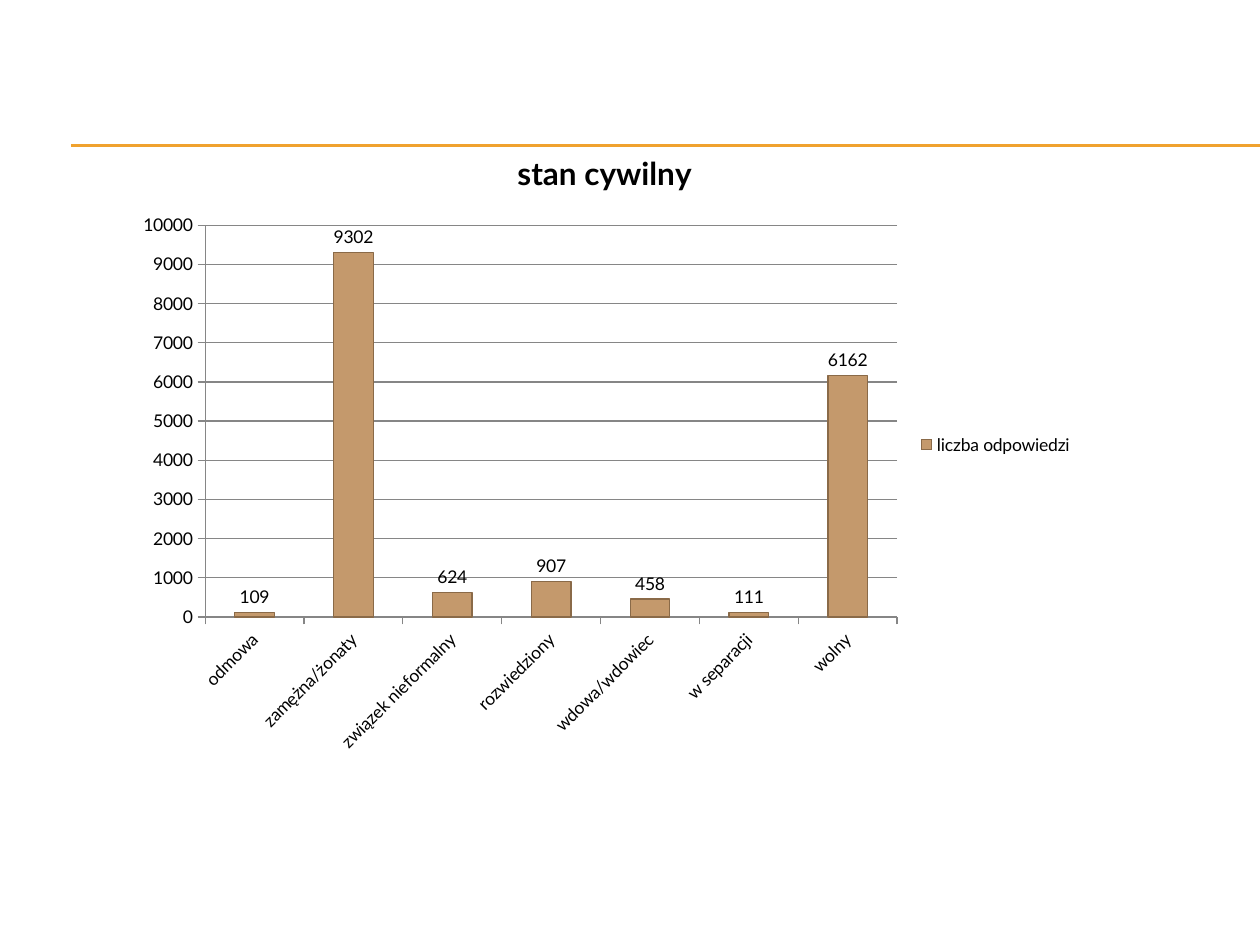
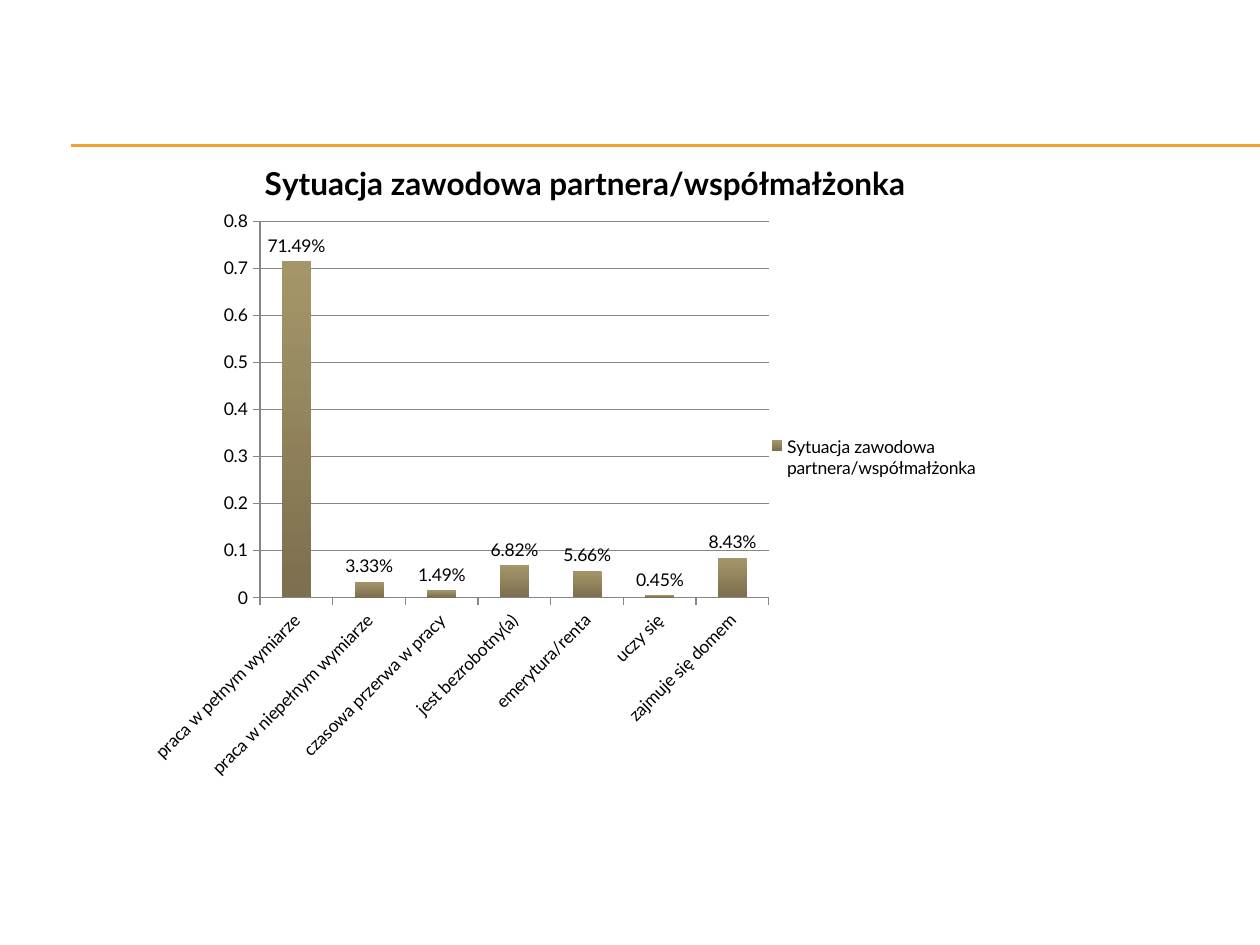
from lxml import etree
from pptx import Presentation
from pptx.chart.data import CategoryChartData
from pptx.dml.color import RGBColor
from pptx.enum.chart import XL_CHART_TYPE, XL_LABEL_POSITION, XL_LEGEND_POSITION, XL_TICK_MARK
from pptx.enum.shapes import MSO_CONNECTOR
from pptx.oxml import parse_xml
from pptx.oxml.ns import qn
from pptx.util import Pt

COLUMNS = XL_CHART_TYPE.COLUMN_CLUSTERED
ABOVE = XL_LABEL_POSITION.OUTSIDE_END
RIGHT = XL_LEGEND_POSITION.RIGHT
OUTSIDE = XL_TICK_MARK.OUTSIDE
STRAIGHT = MSO_CONNECTOR.STRAIGHT
CHART_NS = "http://schemas.openxmlformats.org/drawingml/2006/chart"

WIDTH, HEIGHT = 720, 540
FONT, INK, GRID, ACCENT = "Lato", "000000", "868686", "F0A22E"
RULE_LEFT, RULE_TOPS = 40.5, (82.8, 83.5)


def rgb(value):
    return RGBColor.from_string(value)


class Deck:
    def __init__(self):
        self.presentation = Presentation()
        self.presentation.slide_width = Pt(WIDTH)
        self.presentation.slide_height = Pt(HEIGHT)
        self.slide = None

    def add_slide(self):
        self.slide = self.presentation.slides.add_slide(self.presentation.slide_layouts[6])
        for top in RULE_TOPS:
            self.add_rule(top)

    def add_rule(self, top):
        rule = self.slide.shapes.add_connector(
            STRAIGHT, Pt(RULE_LEFT), Pt(top), Pt(WIDTH), Pt(top))
        self.style_line(rule.line, ACCENT)
        etree.SubElement(rule._element.spPr, qn("a:effectLst"))

    def style_line(self, line, color):
        line.color.rgb = rgb(color)
        line.width = Pt(0.75)

    def style_font(self, font, size=10, bold=False):
        for name, value in {"name": FONT, "size": Pt(size), "bold": bold}.items():
            setattr(font, name, value)
        font.color.rgb = rgb(INK)

    def add_chart(self, box, plot_box, title, series_name, answers, number_format):
        data = CategoryChartData()
        data.categories = list(answers)
        data.add_series(series_name, list(answers.values()))
        chart = self.slide.shapes.add_chart(COLUMNS, *map(Pt, box), data).chart
        self.style_font(chart.font)
        self.add_title(chart, title)
        self.add_legend(chart)
        self.style_axes(chart)
        self.place_plot(chart, plot_box)
        plot = chart.plots[0]
        plot.gap_width = 150
        plot.vary_by_categories = False
        self.add_labels(plot, number_format)
        return plot.series[0]

    def add_title(self, chart, title):
        chart.has_title = True
        frame = chart.chart_title.text_frame
        frame.text = title
        self.style_font(frame.paragraphs[0].runs[0].font, 18, True)
        chart.chart_title.include_in_layout = False

    def add_legend(self, chart):
        chart.has_legend = True
        for name, value in {"position": RIGHT, "include_in_layout": False}.items():
            setattr(chart.legend, name, value)
        self.style_font(chart.legend.font)

    def style_axes(self, chart):
        for axis in (chart.category_axis, chart.value_axis):
            axis.major_tick_mark = OUTSIDE
            self.style_font(axis.tick_labels.font)
            self.style_line(axis.format.line, GRID)
        self.style_line(chart.value_axis.major_gridlines.format.line, GRID)
        labels = chart.category_axis._element.find(qn("c:txPr"))
        labels.find(qn("a:bodyPr")).set("rot", "-2700000")

    def place_plot(self, chart, plot_box):
        area = chart._chartSpace.chart.plotArea
        for layout in area.findall(qn("c:layout")):
            area.remove(layout)
        sides = "".join(f'<c:{side} val="{share}"/>' for side, share in zip("xywh", plot_box))
        area.insert(0, parse_xml(
            f'<c:layout xmlns:c="{CHART_NS}"><c:manualLayout>'
            '<c:layoutTarget val="inner"/><c:xMode val="edge"/><c:yMode val="edge"/>'
            f'{sides}</c:manualLayout></c:layout>'))

    def add_labels(self, plot, number_format):
        plot.has_data_labels = True
        settings = {"show_value": True, "position": ABOVE,
                    "number_format": number_format, "number_format_is_linked": False}
        for name, value in settings.items():
            setattr(plot.data_labels, name, value)
        self.style_font(plot.data_labels.font)

    def fill_solid(self, series, color, outline):
        series.format.fill.solid()
        series.format.fill.fore_color.rgb = rgb(color)
        self.style_line(series.format.line, outline)

    def fill_gradient(self, series, colors):
        fill = series.format.fill
        fill.gradient()
        fill.gradient_angle = 270
        for stop, color in zip(fill.gradient_stops, colors):
            stop.color.rgb = rgb(color)
        series.format.line.fill.background()


deck = Deck()

deck.add_slide()
marital_status = deck.add_chart(
    (70.5, 71.3, 550, 365.8), (0.085, 0.157, 0.719, 0.612),
    "stan cywilny", "liczba odpowiedzi",
    {"odmowa": 109, "zamężna/żonaty": 9302, "związek nieformalny": 624,
     "rozwiedziony": 907, "wdowa/wdowiec": 458, "w separacji": 111, "wolny": 6162},
    "General")
deck.fill_solid(marital_status, "C4996C", "8A6A48")

deck.add_slide()
partner_work = "Sytuacja zawodowa partnera/współmałżonka"
partner_status = deck.add_chart(
    (82, 77, 504.7, 369.4), (0.132, 0.134, 0.576, 0.582),
    partner_work, partner_work,
    {"praca w pełnym wymiarze": 0.7149, "praca w niepełnym wymiarze": 0.0333,
     "czasowa przerwa w pracy": 0.0149, "jest bezrobotny(a)": 0.0682,
     "emerytura/renta": 0.0566, "uczy się": 0.0045, "zajmuje się domem": 0.0843},
    "0.00%")
deck.fill_gradient(partner_status, ("A59669", "7D6F4F"))

deck.presentation.save("out.pptx")
